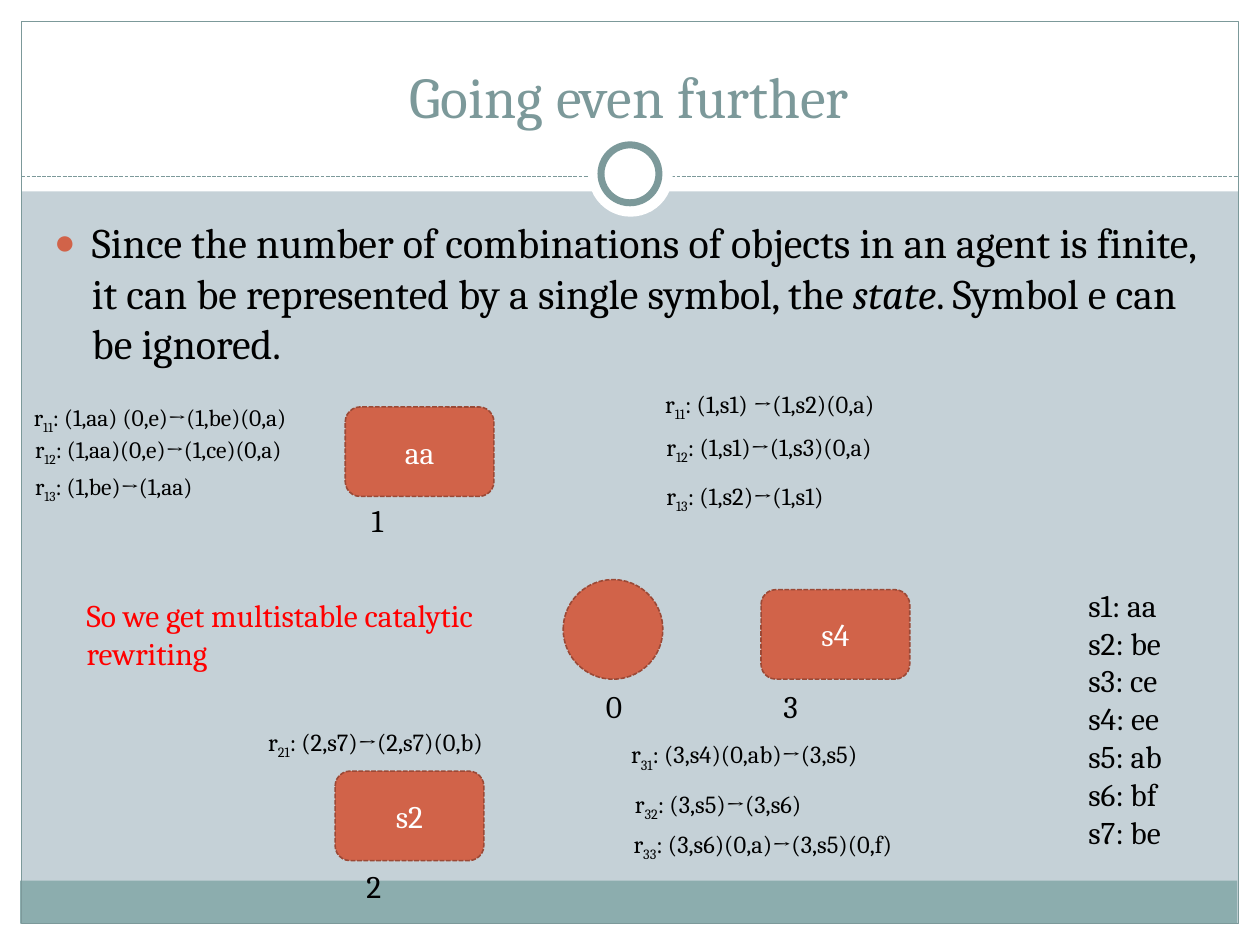
from dataclasses import dataclass
from typing import NamedTuple

from lxml.etree import SubElement
from pptx import Presentation
from pptx.dml.color import RGBColor
from pptx.enum.dml import MSO_LINE_DASH_STYLE as Dash
from pptx.enum.shapes import MSO_CONNECTOR as Connector, MSO_SHAPE as Preset
from pptx.enum.text import MSO_ANCHOR as Anchor, MSO_AUTO_SIZE as AutoSize, PP_ALIGN as Align
from pptx.oxml.ns import qn
from pptx.util import Inches, Pt

COLUMNS, ROWS = 100, 75
SLIDE_WIDTH, SLIDE_HEIGHT = Inches(10), Inches(7.5)


@dataclass(frozen=True)
class Theme:
    font: str = "Cambria"
    background: str = "C5D1D7"
    paper: str = "FFFFFF"
    footer: str = "8CADAE"
    frame: str = "7C999A"
    accent: str = "D16349"
    accent_edge: str = "9B4936"
    ink: str = "000000"
    highlight: str = "FF0000"
    title_size: float = 33
    body_size: float = 24
    label_size: float = 18
    rule_size: float = 14
    small_rule_size: float = 13.5


THEME = Theme()


class Area(NamedTuple):
    column: float
    row: float
    columns: float
    rows: float

    def emu(self) -> tuple[int, int, int, int]:
        return across(self.column), down(self.row), across(self.columns), down(self.rows)


class Rule(NamedTuple):
    area: Area
    index: str
    formula: str


class Label(NamedTuple):
    area: Area
    lines: tuple[str, ...]
    color: str = THEME.ink


class Agent(NamedTuple):
    column: float
    row: float
    state: str


class Panel(NamedTuple):
    area: Area
    fill: str | None
    preset: Preset = Preset.RECTANGLE
    edge_width: float = 0


def across(columns: float) -> int:
    return round(SLIDE_WIDTH * columns / COLUMNS)


def down(rows: float) -> int:
    return round(SLIDE_HEIGHT * rows / ROWS)


def rgb(value: str) -> RGBColor:
    return RGBColor.from_string(value)


def add_run(paragraph, text: str, size: float, color: str,
            italic: bool = False, baseline: int = 0) -> None:
    run = paragraph.add_run()
    run.text = text
    run.font.name = THEME.font
    run.font.size = Pt(size)
    run.font.color.rgb = rgb(color)
    run.font.italic = italic
    if baseline:
        run.font._element.set("baseline", str(baseline * 1000))


def add_plain_shape(shapes, preset: Preset, area: Area, fill: str | None):
    shape = shapes.add_shape(preset, *area.emu())
    shape.shadow.inherit = False
    if fill:
        shape.fill.solid()
        shape.fill.fore_color.rgb = rgb(fill)
    else:
        shape.fill.background()
    return shape


def add_panel(shapes, panel: Panel) -> None:
    shape = add_plain_shape(shapes, panel.preset, panel.area, panel.fill)
    if panel.edge_width:
        shape.line.color.rgb = rgb(THEME.frame)
        shape.line.width = Pt(panel.edge_width)
    else:
        shape.line.fill.background()


def add_divider(shapes, row: float, start: float, end: float) -> None:
    divider = shapes.add_connector(
        Connector.STRAIGHT, across(start), down(row), across(end), down(row))
    divider.line.color.rgb = rgb(THEME.frame)
    divider.line.width = Pt(0.75)
    divider.line.dash_style = Dash.SQUARE_DOT
    SubElement(divider._element.spPr, qn("a:effectLst"))


def add_cell(shapes, preset: Preset, area: Area, state: str = "") -> None:
    cell = add_plain_shape(shapes, preset, area, THEME.accent)
    cell.line.color.rgb = rgb(THEME.accent_edge)
    cell.line.width = Pt(0.9)
    cell.line.dash_style = Dash.SQUARE_DOT
    if state:
        cell.text_frame.vertical_anchor = Anchor.MIDDLE
        paragraph = cell.text_frame.paragraphs[0]
        paragraph.alignment = Align.CENTER
        add_run(paragraph, state, THEME.label_size, THEME.paper)


def add_text_frame(shapes, area: Area):
    frame = shapes.add_textbox(*area.emu()).text_frame
    frame.word_wrap = False
    frame.auto_size = AutoSize.SHAPE_TO_FIT_TEXT
    return frame


def add_label(shapes, label: Label) -> None:
    frame = add_text_frame(shapes, label.area)
    for position, line in enumerate(label.lines):
        paragraph = frame.add_paragraph() if position else frame.paragraphs[0]
        add_run(paragraph, line, THEME.label_size, label.color)


def add_rule(shapes, rule: Rule, size: float) -> None:
    paragraph = add_text_frame(shapes, rule.area).paragraphs[0]
    add_run(paragraph, "r", size, THEME.ink)
    add_run(paragraph, rule.index, size, THEME.ink, baseline=-25)
    add_run(paragraph, f": {rule.formula}", size, THEME.ink)


def place(placeholder, area: Area, anchor: Anchor):
    placeholder.left, placeholder.top, placeholder.width, placeholder.height = area.emu()
    frame = placeholder.text_frame
    frame.auto_size = AutoSize.NONE
    frame.word_wrap = True
    frame.vertical_anchor = anchor
    return frame.paragraphs[0]


def set_bullet(paragraph) -> None:
    paragraph.space_before = Pt(0)
    properties = paragraph._p.get_or_add_pPr()
    properties.set("marL", str(across(3)))
    properties.set("indent", str(-across(3)))
    tint = SubElement(properties, qn("a:buClr"))
    SubElement(tint, qn("a:srgbClr"), val=THEME.accent)
    SubElement(properties, qn("a:buSzPct"), val="85000")
    SubElement(properties, qn("a:buChar"), char="●")


PANELS = (
    Panel(Area(0, 73.3, 100, 1.7), THEME.paper),
    Panel(Area(0, 0, 100, 15.2), THEME.paper),
    Panel(Area(0, 0, 1.7, 75), THEME.paper),
    Panel(Area(98.3, 0, 1.7, 75), THEME.paper),
    Panel(Area(1.6, 69.9, 96.6, 3.4), THEME.footer),
    Panel(Area(1.7, 1.7, 96.6, 71.6), None, edge_width=0.75),
)
RINGS = (
    Panel(Area(46.7, 10.5, 6.7, 6.7), THEME.paper, Preset.OVAL),
    Panel(Area(47.7, 11.5, 4.6, 4.6), THEME.paper, Preset.OVAL, 4),
)
AGENTS = (Agent(27.4, 32.3, "aa"), Agent(60.4, 46.8, "s4"), Agent(26.6, 61.2, "s2"))
LABELS = (
    Label(Area(28.5, 39.3, 3.1, 4), ("1",)),
    Label(Area(28.1, 68.3, 3.4, 4), ("2",)),
    Label(Area(61.2, 54, 3.4, 4), ("3",)),
    Label(Area(47.1, 54, 3.6, 4), ("0",)),
    Label(Area(85.4, 46, 8.6, 22.2),
          ("s1: aa", "s2: be", "s3: ce", "s4: ee", "s5: ab", "s6: bf", "s7: be")),
    Label(Area(5.9, 46.8, 36.3, 7.1),
          ("So we get multistable catalytic", "rewriting"), THEME.highlight),
)
OBJECT_RULES = (
    Rule(Area(1.7, 31.5, 24.7, 3.3), "11", "(1,aa) (0,e)→(1,be)(0,a)"),
    Rule(Area(1.8, 34, 24.2, 3.3), "12", "(1,aa)(0,e)→(1,ce)(0,a)"),
    Rule(Area(1.8, 37, 16.3, 3.3), "13", "(1,be)→(1,aa)"),
)
FIRST_AGENT_RULES = (
    Rule(Area(51.8, 30.4, 20.9, 3.4), "11", "(1,s1) →(1,s2)(0,a)"),
    Rule(Area(51.9, 33.8, 20.6, 3.4), "12", "(1,s1)→(1,s3)(0,a)"),
    Rule(Area(51.9, 37.7, 16.4, 3.4), "13", "(1,s2)→(1,s1)"),
)
SECOND_AGENT_RULE = Rule(Area(20.3, 57.2, 21.3, 3.4), "21", "(2,s7)→(2,s7)(0,b)")
THIRD_AGENT_RULES = (
    Rule(Area(49.1, 58.2, 23.1, 3.4), "31", "(3,s4)(0,ab)→(3,s5)"),
    Rule(Area(49.4, 62.1, 17.3, 3.4), "32", "(3,s5)→(3,s6)"),
    Rule(Area(49.3, 65.3, 25.3, 3.4), "33", "(3,s6)(0,a)→(3,s5)(0,f)"),
)


def main() -> None:
    deck = Presentation()
    deck.slide_width, deck.slide_height = SLIDE_WIDTH, SLIDE_HEIGHT
    slide = deck.slides.add_slide(deck.slide_layouts[1])
    slide.background.fill.solid()
    slide.background.fill.fore_color.rgb = rgb(THEME.background)
    shapes = slide.shapes
    title, body = shapes.title, slide.placeholders[1]

    for panel in PANELS:
        add_panel(shapes, panel)
    add_divider(shapes, 14, 1.7, 98.3)
    for ring in RINGS:
        add_panel(shapes, ring)

    for placeholder in (body, title):
        shapes._spTree.append(placeholder._element)
    heading = place(title, Area(3.3, 2.5, 93.3, 8.3), Anchor.BOTTOM)
    heading.alignment = Align.CENTER
    add_run(heading, "Going even further", THEME.title_size, THEME.frame)
    statement = place(body, Area(3.3, 16.7, 93, 50), Anchor.TOP)
    set_bullet(statement)
    add_run(statement, "Since the number of combinations of objects in an agent is finite, "
            "it can be represented by a single symbol, the ", THEME.body_size, THEME.ink)
    add_run(statement, "state", THEME.body_size, THEME.ink, italic=True)
    add_run(statement, ". Symbol e can be ignored.", THEME.body_size, THEME.ink)

    for agent in AGENTS:
        add_cell(shapes, Preset.ROUNDED_RECTANGLE,
                 Area(agent.column, agent.row, 11.8, 7.1), agent.state)
    add_cell(shapes, Preset.OVAL, Area(44.7, 46, 7.9, 7.9))
    for label in LABELS:
        add_label(shapes, label)
    add_rule(shapes, SECOND_AGENT_RULE, THEME.rule_size)
    for rules, size in ((FIRST_AGENT_RULES, THEME.rule_size),
                        (THIRD_AGENT_RULES, THEME.rule_size),
                        (OBJECT_RULES, THEME.small_rule_size)):
        cluster = shapes.add_group_shape()
        for rule in rules:
            add_rule(cluster.shapes, rule, size)

    deck.save("out.pptx")


if __name__ == "__main__":
    main()
